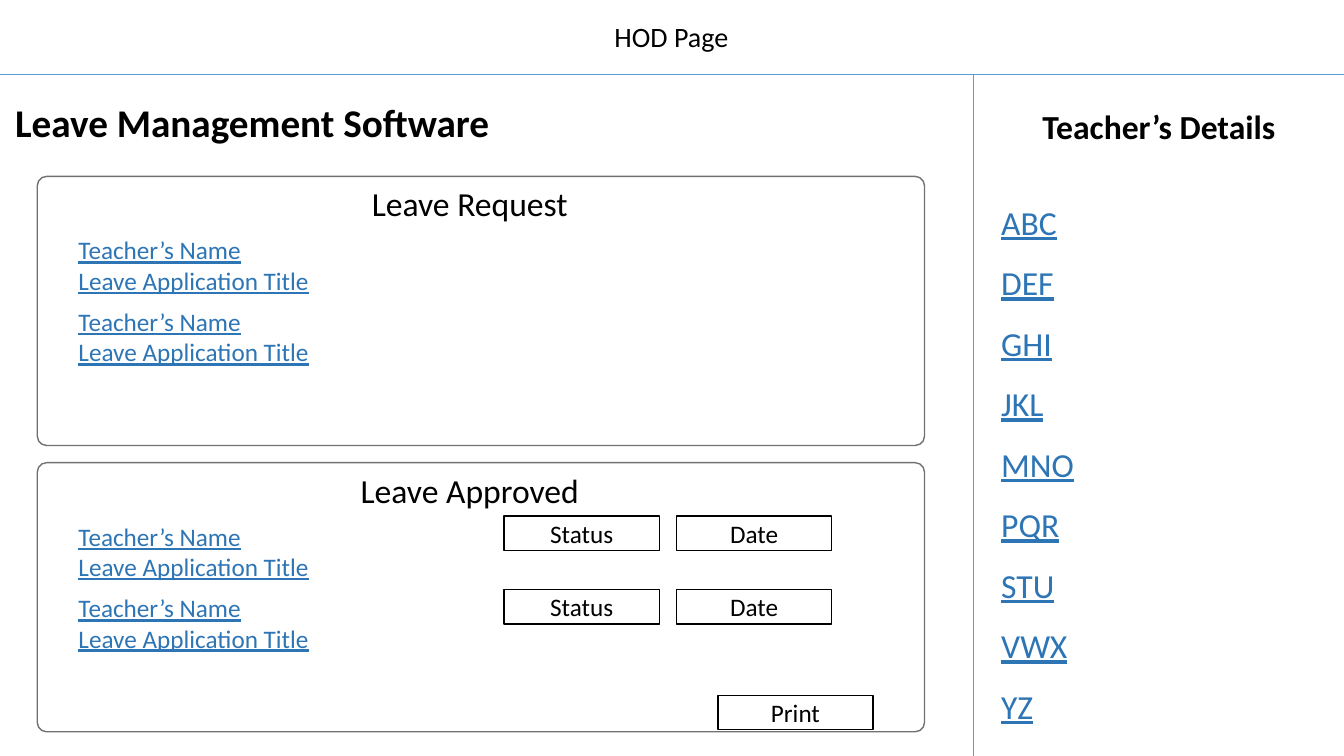
from lxml import etree
from pptx import Presentation
from pptx.dml.color import RGBColor
from pptx.enum.shapes import MSO_CONNECTOR, MSO_SHAPE
from pptx.enum.text import MSO_ANCHOR, MSO_AUTO_SIZE, PP_ALIGN
from pptx.oxml.ns import qn
from pptx.util import Pt

PX = 9144  # 100 px to the inch
SLIDE_W, SLIDE_H = 1333, 750
FONT = "Calibri"
COLORS = {
    "text": "000000",
    "link": "2E75B5",
    "rule": "5B9BD5",
    "panel": "757070",
    "white": "FFFFFF",
}
LEFT, CENTER = PP_ALIGN.LEFT, PP_ALIGN.CENTER
TOP, MIDDLE = MSO_ANCHOR.TOP, MSO_ANCHOR.MIDDLE
NO_AUTOFIT = MSO_AUTO_SIZE.NONE
STRAIGHT = MSO_CONNECTOR.STRAIGHT
RECT, ROUNDED = MSO_SHAPE.RECTANGLE, MSO_SHAPE.ROUNDED_RECTANGLE

HEADER_Y, SIDEBAR_X = 74, 966
PANEL_X, PANEL_W, PANEL_H = 37, 880, 267
REQUEST_Y, APPROVED_Y = 175, 459
ENTRY_STEP = 71
BUTTON_W, BUTTON_H = 154, 34
TEACHERS = ["ABC", "DEF", "GHI", "JKL", "MNO", "PQR", "STU", "VWX", "YZ"]
ENTRY = ["Teacher’s Name", "Leave Application Title"]


def emu(*lengths):
    return [length * PX for length in lengths]


def color(name):
    return RGBColor.from_string(COLORS[name])


def write(holder, lines, size=18, ink="text", bold=False, underline=False,
          align=LEFT, anchor=TOP, spacing=1.0):
    frame = holder.text_frame
    frame.word_wrap = True
    frame.auto_size = NO_AUTOFIT
    frame.vertical_anchor = anchor
    frame.text = "\n".join(lines)
    for paragraph in frame.paragraphs:
        props = paragraph._p.get_or_add_pPr()
        props.set("marL", "0")
        props.set("indent", "0")
        etree.SubElement(props, qn("a:buNone"))
        paragraph.alignment = align
        paragraph.line_spacing = spacing
        paragraph.space_before = Pt(0)
        font = paragraph.runs[0].font
        font.name, font.size = FONT, Pt(size)
        font.bold, font.underline = bold, underline
        font.color.rgb = color(ink)


def add_label(slide, box, lines, **style):
    write(slide.shapes.add_textbox(*emu(*box)), lines, **style)


def fill_placeholder(placeholder, box, lines, **style):
    placeholder.left, placeholder.top, placeholder.width, placeholder.height = emu(*box)
    write(placeholder, lines, **style)


def add_rule(slide, *ends):
    rule = slide.shapes.add_connector(STRAIGHT, *emu(*ends))
    rule.line.color.rgb = color("rule")
    rule.line.width = Pt(0.75)
    etree.SubElement(rule._element.spPr, qn("a:effectLst"))


def add_box(slide, kind, box, outline):
    shape = slide.shapes.add_shape(kind, *emu(*box))
    shape.shadow.inherit = False
    shape.fill.solid()
    shape.fill.fore_color.rgb = color("white")
    shape.line.color.rgb = color(outline)
    shape.line.width = Pt(1)
    return shape


def add_button(slide, x, y, caption):
    button = add_box(slide, RECT, (x, y, BUTTON_W, BUTTON_H), "text")
    write(button, [caption], align=CENTER, anchor=MIDDLE)


def add_panel(slide, y, heading):
    panel = add_box(slide, ROUNDED, (PANEL_X, y, PANEL_W, PANEL_H), "panel")
    panel.adjustments[0] = 0.035
    add_label(slide, (266, y + 2, 400, 50), [heading], size=24, align=CENTER)
    for entry in range(2):
        add_label(slide, (68, y + 53 + entry * ENTRY_STEP, 798, 71), ENTRY,
                  ink="link", underline=True)


def main():
    prs = Presentation()
    prs.slide_width, prs.slide_height = emu(SLIDE_W, SLIDE_H)
    slide = prs.slides.add_slide(prs.slide_layouts[1])
    title, teacher_list = slide.placeholders

    # Header
    add_label(slide, (593, 14, 146, 44), ["HOD Page"], size=20, align=CENTER)
    add_rule(slide, 0, HEADER_Y, SLIDE_W, HEADER_Y)
    fill_placeholder(title, (0, 93, 500, 57), ["Leave Management Software"],
                     size=28, bold=True, align=CENTER)

    # Teacher sidebar
    add_rule(slide, SIDEBAR_X, HEADER_Y, SIDEBAR_X, SLIDE_H)
    add_label(slide, (SIDEBAR_X, 100, SLIDE_W - SIDEBAR_X, 50),
              ["Teacher’s Details"], size=24, bold=True, align=CENTER)
    fill_placeholder(teacher_list, (983, 175, 335, 555), TEACHERS,
                     size=24, ink="link", underline=True, spacing=1.5)

    # Leave panels
    add_panel(slide, REQUEST_Y, "Leave Request")
    add_panel(slide, APPROVED_Y, "Leave Approved")

    # Buttons of the approved panel
    for y in (512, 585):
        add_button(slide, 500, y, "Status")
        add_button(slide, 671, y, "Date")
    add_button(slide, 712, 690, "Print")

    prs.save("out.pptx")


if __name__ == "__main__":
    main()
